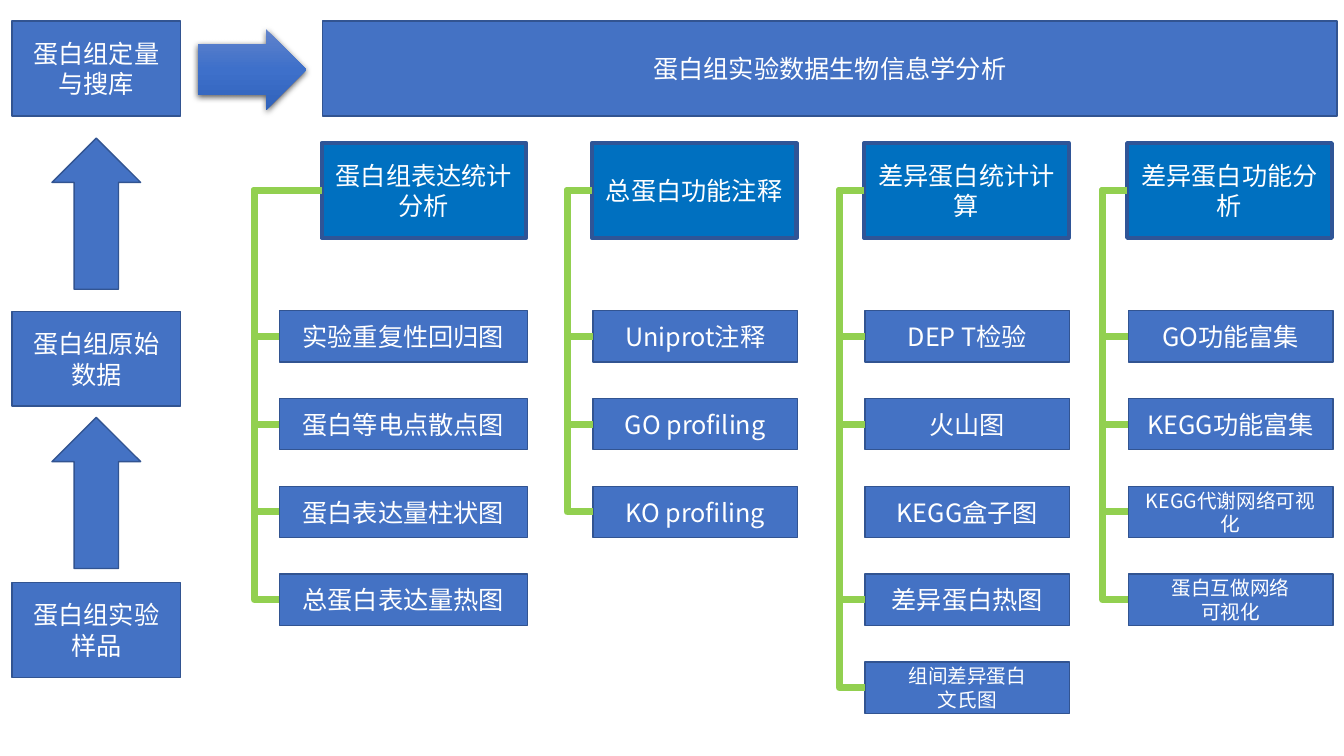
from collections import namedtuple
from copy import deepcopy

from lxml.etree import SubElement
from pptx import Presentation
from pptx.dml.color import RGBColor
from pptx.enum.shapes import MSO_CONNECTOR, MSO_SHAPE
from pptx.enum.text import MSO_ANCHOR, MSO_AUTO_SIZE, PP_ALIGN
from pptx.oxml.ns import qn
from pptx.util import Inches, Pt

BLUE = RGBColor(0x44, 0x72, 0xC4)
BLUE_EDGE = RGBColor(0x32, 0x54, 0x91)
HEADING_BLUE = RGBColor(0x00, 0x70, 0xC0)
HEADING_EDGE = RGBColor(0x2F, 0x55, 0x97)
GREEN = RGBColor(0x92, 0xD0, 0x50)
WHITE = RGBColor(0xFF, 0xFF, 0xFF)
GRADIENT = [RGBColor(0x61, 0x83, 0xCB), RGBColor(0x3E, 0x70, 0xCA), RGBColor(0x30, 0x62, 0xBB)]
FONT = "Noto Sans CJK SC"

# All lengths are columns and rows of a grid with square cells of 0.1 inch.
Box = namedtuple("Box", "left top width height")
BOX_HEIGHT = 9.4
HEADING_WIDTH = 20.3
ITEM_HEIGHT = 5.1
ITEM_PITCH = 8.72
FIRST_ITEM = 16.6
TRUNK_GAP = 2.5

Item = namedtuple("Item", "text size linked", defaults=(18, True))
BRANCHES = [
    (31.9, 27.7, 24.6, "蛋白组表达统计分析",
     [Item("实验重复性回归图"), Item("蛋白等电点散点图"),
      Item("蛋白表达量柱状图"), Item("总蛋白表达量热图")]),
    (58.7, 58.8, 20.3, "总蛋白功能注释",
     [Item("Uniprot注释"), Item("GO profiling"), Item("KO profiling")]),
    (85.7, 85.8, 20.3, "差异蛋白统计计算",
     [Item("DEP T检验"), Item("火山图"), Item("KEGG盒子图", linked=False),
      Item("差异蛋白热图"), Item("组间差异蛋白\n文氏图", 14)]),
    (111.8, 111.9, 20.3, "差异蛋白功能分析",
     [Item("GO功能富集"), Item("KEGG功能富集"),
      Item("KEGG代谢网络可视化", 14), Item("蛋白互做网络\n可视化", 14)]),
]


def cells(count):
    """Length of a number of grid cells."""
    return Inches(count / 10)


def paint(shape, fill=BLUE, edge=BLUE_EDGE, weight=1):
    """Give a shape a flat fill and an outline."""
    shape.fill.solid()
    shape.fill.fore_color.rgb = fill
    shape.line.color.rgb = edge
    shape.line.width = Pt(weight)


def write(shape, text, size=18):
    """Put white centred text into a shape."""
    frame = shape.text_frame
    frame.text = text
    frame.word_wrap = True
    frame.auto_size = MSO_AUTO_SIZE.NONE
    frame.vertical_anchor = MSO_ANCHOR.MIDDLE
    for paragraph in frame.paragraphs:
        paragraph.alignment = PP_ALIGN.CENTER
        paragraph.font.size = Pt(size)
        paragraph.font.name = FONT
        paragraph.font.color.rgb = WHITE
        defaults = paragraph._p.pPr.find(qn("a:defRPr"))
        SubElement(defaults, qn("a:ea"), typeface=FONT)


def add_block(slide, box, kind=MSO_SHAPE.RECTANGLE, **style):
    """Add a painted preset shape that fills the box."""
    block = slide.shapes.add_shape(kind, *map(cells, box))
    block.shadow.inherit = False
    paint(block, **style)
    return block


def add_banner(slide, box):
    """Format the title as the banner across the top."""
    banner = slide.shapes.title
    banner.left, banner.top, banner.width, banner.height = map(cells, box)
    paint(banner)
    write(banner, "蛋白组实验数据生物信息学分析")


def add_workflow(slide, box):
    """Stack the laboratory steps, with an arrow up to each from the one below."""
    steps = [(0, "蛋白组定量与搜库"), (28.8, "蛋白组原始数据"), (55.7, "蛋白组实验样品")]
    for row, text in steps:
        write(add_block(slide, Box(box.left, box.top + row, box.width, BOX_HEIGHT)), text)
    arrow_width, arrow_height = 8.8, 15
    arrow_left = box.left + (box.width - arrow_width) / 2
    for row in (11.6, 39.3):
        add_block(slide, Box(arrow_left, box.top + row, arrow_width, arrow_height),
                  MSO_SHAPE.UP_ARROW)


def add_analysis_arrow(slide, box):
    """Add the shaded arrow from the workflow to the banner."""
    arrow = add_block(slide, box, MSO_SHAPE.RIGHT_ARROW)
    arrow.adjustments[0] = 0.63
    arrow.line.fill.background()
    arrow.fill.gradient()
    arrow.fill.gradient_angle = 270
    first_stop = arrow.fill.gradient_stops[0]._gs
    first_stop.addnext(deepcopy(first_stop))
    for stop, colour, position in zip(arrow.fill.gradient_stops, GRADIENT, (0, 0.5, 1)):
        stop.color.rgb = colour
        stop.position = position
    effects = arrow._element.spPr.find(qn("a:effectLst"))
    shadow = SubElement(effects, qn("a:outerShdw"), blurRad=str(Pt(4.5)), dist=str(Pt(1.5)),
                        dir="5400000", algn="ctr", rotWithShape="0")
    black = SubElement(shadow, qn("a:srgbClr"), val="000000")
    SubElement(black, qn("a:alpha"), val="63000")


def link(slide, heading, item):
    """Join the left sides of heading and item by a bent green line."""
    line = slide.shapes.add_connector(MSO_CONNECTOR.ELBOW, 0, 0, 0, 0)
    line.begin_connect(heading, 1)
    line.end_connect(item, 1)
    line.line.color.rgb = GREEN
    line.line.width = Pt(5)
    properties = line._element.spPr
    SubElement(properties, qn("a:effectLst"))
    trunk = min(heading.left, item.left) - cells(TRUNK_GAP)
    bend = (trunk - heading.left) / (item.left - heading.left)
    guides = properties.find(qn("a:prstGeom")).get_or_add_avLst()
    SubElement(guides, qn("a:gd"), name="adj1", fmla=f"val {round(bend * 100000)}")


def add_branch(slide, box, item_left, item_width, title, items):
    """Add one analysis heading with its list of linked items below."""
    heading = add_block(slide, box, fill=HEADING_BLUE, edge=HEADING_EDGE, weight=3)
    write(heading, title)
    for row, item in enumerate(items):
        top = box.top + FIRST_ITEM + row * ITEM_PITCH
        block = add_block(slide, Box(item_left, top, item_width, ITEM_HEIGHT))
        write(block, item.text, item.size)
        if item.linked:
            link(slide, heading, block)


def main():
    """Build the slide and save it."""
    deck = Presentation()
    deck.slide_width, deck.slide_height = Inches(13.33), Inches(7.5)
    slide = deck.slides.add_slide(deck.slide_layouts[5])
    add_banner(slide, Box(32, 2.1, 100.6, BOX_HEIGHT))
    add_workflow(slide, Box(1.2, 2.1, 16.7, 65.1))
    add_analysis_arrow(slide, Box(19.6, 2.9, 10.8, 8))
    for left, *branch in BRANCHES:
        add_branch(slide, Box(left, 14.2, HEADING_WIDTH, BOX_HEIGHT), *branch)
    deck.save("out.pptx")


main()
